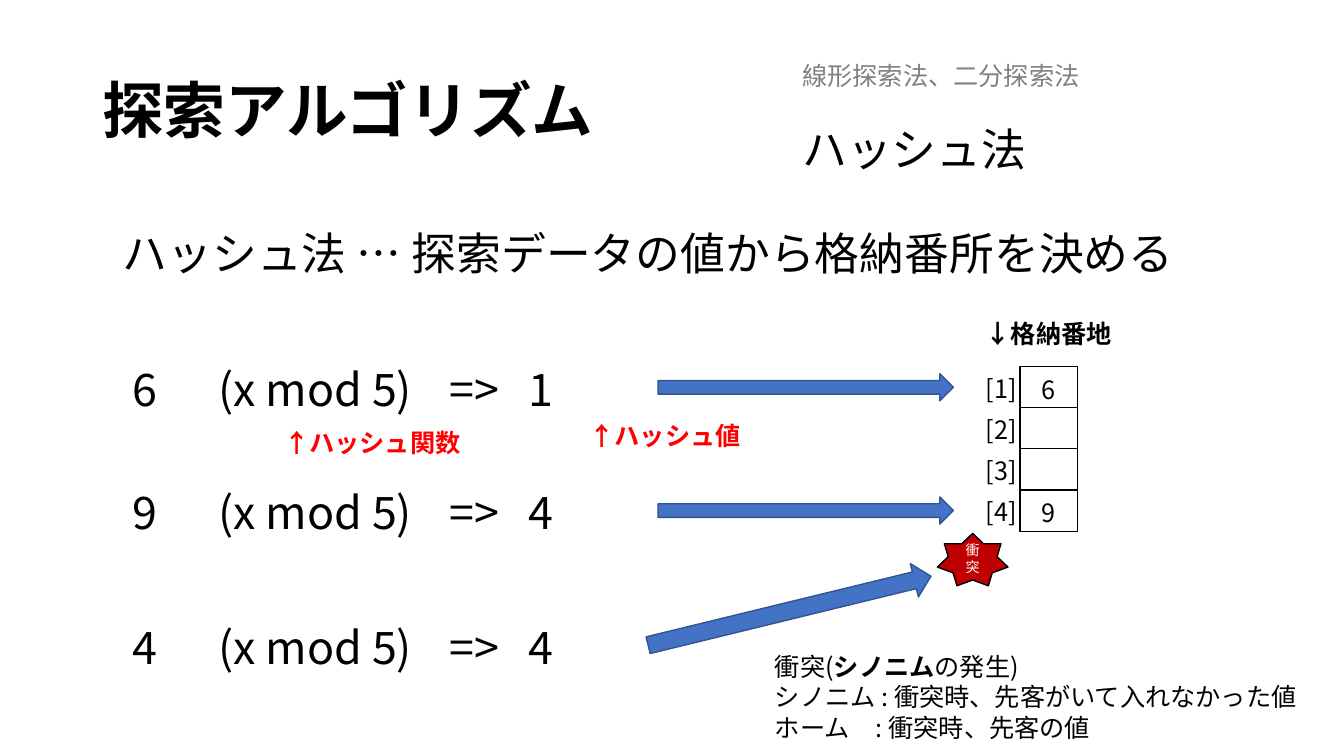
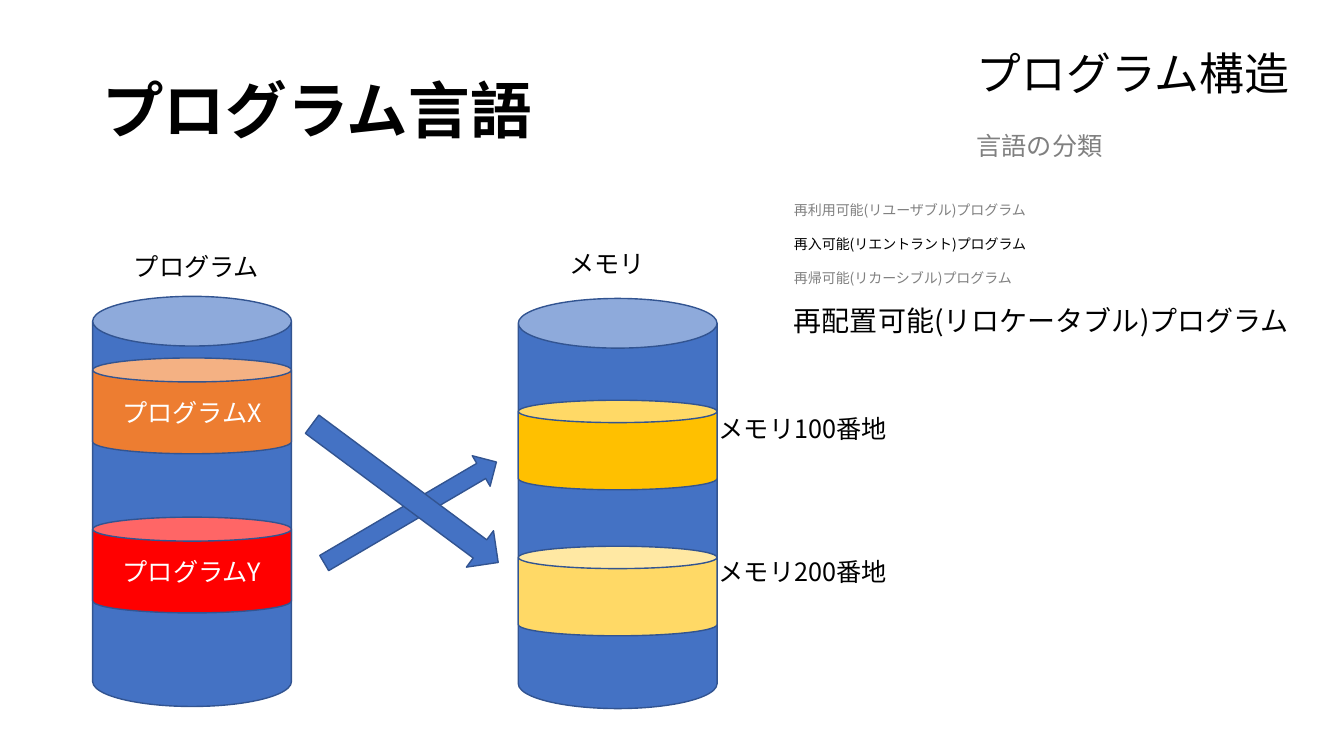
from lxml import etree
from pptx import Presentation
from pptx.dml.color import RGBColor
from pptx.enum.shapes import MSO_SHAPE
from pptx.enum.text import MSO_ANCHOR, PP_ALIGN
from pptx.oxml.ns import qn
from pptx.util import Pt

RECT, CAN = MSO_SHAPE.RECTANGLE, MSO_SHAPE.CAN
ARROW, STAR = MSO_SHAPE.RIGHT_ARROW, MSO_SHAPE.STAR_7_POINT
MIDDLE, TOP = MSO_ANCHOR.MIDDLE, MSO_ANCHOR.TOP
CENTER = PP_ALIGN.CENTER

FONT = "Noto Sans CJK JP"
BLACK, WHITE, GRAY = "000000", "FFFFFF", "808080"
BLUE, EDGE, RED = "4472C4", "325491", "FF0000"
LEAD = 1.21  # line height per point of text


def paint(color):
    return RGBColor.from_string(color)


# Text: a paragraph is (gap before, runs); a run is (text, size, colour, bold)
def run(words, size=18, color=BLACK, bold=False):
    return words, size, color, bold


def line(*args, gap=0):
    return gap, [run(*args)]


def write(frame, paras, tabs=(), align=None, lead=None):
    for i, (gap, runs) in enumerate(paras):
        para = frame.paragraphs[0] if i == 0 else frame.add_paragraph()
        para.alignment = align
        para.space_before = Pt(gap)
        para.line_spacing = lead or Pt(LEAD * max(r[1] for r in runs))
        if tabs:
            stops = etree.SubElement(para._p.get_or_add_pPr(), qn("a:tabLst"))
            for pos in tabs:
                etree.SubElement(stops, qn("a:tab"), pos=str(Pt(pos)), algn="l")
        for words, size, color, bold in runs:
            part = para.add_run()
            part.text = words
            part.font.size = Pt(size)
            part.font.bold = bold
            part.font.color.rgb = paint(color)
            part.font.name = FONT
            etree.SubElement(part._r.get_or_add_rPr(), qn("a:ea"), typeface=FONT)


def label(slide, box, *paras, anchor=TOP, **style):
    frame = slide.shapes.add_textbox(*map(Pt, box)).text_frame
    frame.word_wrap = True
    frame.vertical_anchor = anchor
    write(frame, paras, **style)


# Shapes
def draw(slide, kind, box, fill=BLUE, edge=EDGE, turn=0, para=None):
    shape = slide.shapes.add_shape(kind, *map(Pt, box))
    shape.shadow.inherit = False
    shape.fill.solid()
    shape.fill.fore_color.rgb = paint(fill)
    shape.line.color.rgb = paint(edge)
    shape.line.width = Pt(1)
    shape.rotation = turn
    if para:
        shape.text_frame.word_wrap = True
        shape.text_frame.vertical_anchor = MIDDLE
        write(shape.text_frame, [para], align=CENTER)


def title(slide, words, width):
    label(slide, (66, 28.8, width, 104.4), line(words, 44, BLACK, True),
          anchor=MIDDLE, lead=0.9)


# Hash slide: one worked example
def sample(slide, x, y, key, value):
    label(slide, (x, y, 371, 46), line(f"{key}\t(x mod 5)\t=>\t{value}", 32),
          tabs=(61, 226, 283))


# Hash slide: storage cells with their addresses
def store(slide, x, y, held):
    label(slide, (x, y - 38, 145, 29), line("↓格納番地", 18, BLACK, True))
    for i, key in enumerate(held):
        top = y + i * 29.3
        draw(slide, RECT, (x + 31.7, top, 41, 30), WHITE, BLACK)
        label(slide, (x, top + 0.7, 41, 29), line(f"[{i + 1}]"))
        if key:
            label(slide, (x + 39.6, top + 1.5, 45, 29), line(key))


# Program slide: a tall drum with bands; a band is (offset, height, fill, words)
def drum(slide, x, y, bands):
    draw(slide, CAN, (x, y, 142, 293))
    for down, high, fill, words in bands:
        draw(slide, CAN, (x, y + down, 142, high), fill,
             para=line(words, 18, WHITE) if words else None)


def hashing(slide):
    title(slide, "探索アルゴリズム", 377)
    label(slide, (566, 39.6, 367, 90), line("線形探索法、二分探索法", 18, GRAY),
          line("ハッシュ法", 32, gap=21.8))
    label(slide, (80.6, 157.7, 778, 46),
          line("ハッシュ法 … 探索データの値から格納番所を決める", 32))
    # Examples and the cells they reach
    for y, key, value in ((254.2, 6, 1), (342, 9, 4), (438.5, 4, 4)):
        sample(slide, 87.8, y, key, value)
    for y in (267, 355):
        draw(slide, ARROW, (470, y, 211, 19.4))
    store(slide, 697, 262, ("6", "", "", "9"))
    for x, y, words in ((195.8, 301.7, "↑ハッシュ関数"), (414, 296.6, "↑ハッシュ値")):
        label(slide, (x, y, 148, 29), line(words, 18, RED, True))
    # Collision
    draw(slide, ARROW, (460, 424, 208, 24.5), turn=346.3)
    draw(slide, STAR, (669.6, 381, 50.4, 37.4), "C00000", BLACK,
         para=line("衝突", 10, WHITE))
    label(slide, (546.5, 461.5, 401, 72.7),
          (0, [run("衝突("), run("シノニム", bold=True), run("の発生)")]),
          line("シノニム : 衝突時、先客がいて入れなかった値"),
          line("ホーム\t: 衝突時、先客の値"), tabs=(72,))


def program(slide):
    title(slide, "プログラム言語", 466.6)
    label(slide, (690.5, 28.8, 243, 90), line("プログラム構造", 32),
          line("言語の分類", 18, GRAY, gap=21.8))
    # Kinds of program
    label(slide, (560, 140.4, 373, 104.4),
          line("再利用可能(リユーザブル)プログラム", 10, GRAY),
          line("再入可能(リエントラント)プログラム", 10, gap=12.1),
          line("再帰可能(リカーシブル)プログラム", 10, GRAY, gap=12.1),
          line("再配置可能(リロケータブル)プログラム", 20, gap=12.1))
    # Drums and their captions
    drum(slide, 66.2, 211.7, ((44, 68.4, "ED7D31", "プログラムX"),
                              (157.7, 68.4, RED, "プログラムY")))
    drum(slide, 370.2, 213.2, ((72.7, 64, "FFC000", ""),
                               (177, 64, "FFD966", "")))
    label(slide, (88.6, 175.7, 172, 29), line("プログラム"))
    label(slide, (399.6, 173.5, 172, 29), line("メモリ"))
    for y, spot in ((291.6, 100), (393.8, 200)):
        label(slide, (506.2, y, 142, 29), line(f"メモリ{spot}番地"))
    # Crossing arrows
    draw(slide, ARROW, (221.8, 353.5, 142.6, 25.2), turn=329.6)
    draw(slide, ARROW, (206.6, 336.2, 165.6, 32.4), turn=36.6)


deck = Presentation()
deck.slide_width, deck.slide_height = Pt(960), Pt(540)
for build in (hashing, program):
    build(deck.slides.add_slide(deck.slide_layouts[6]))
deck.save("out.pptx")
